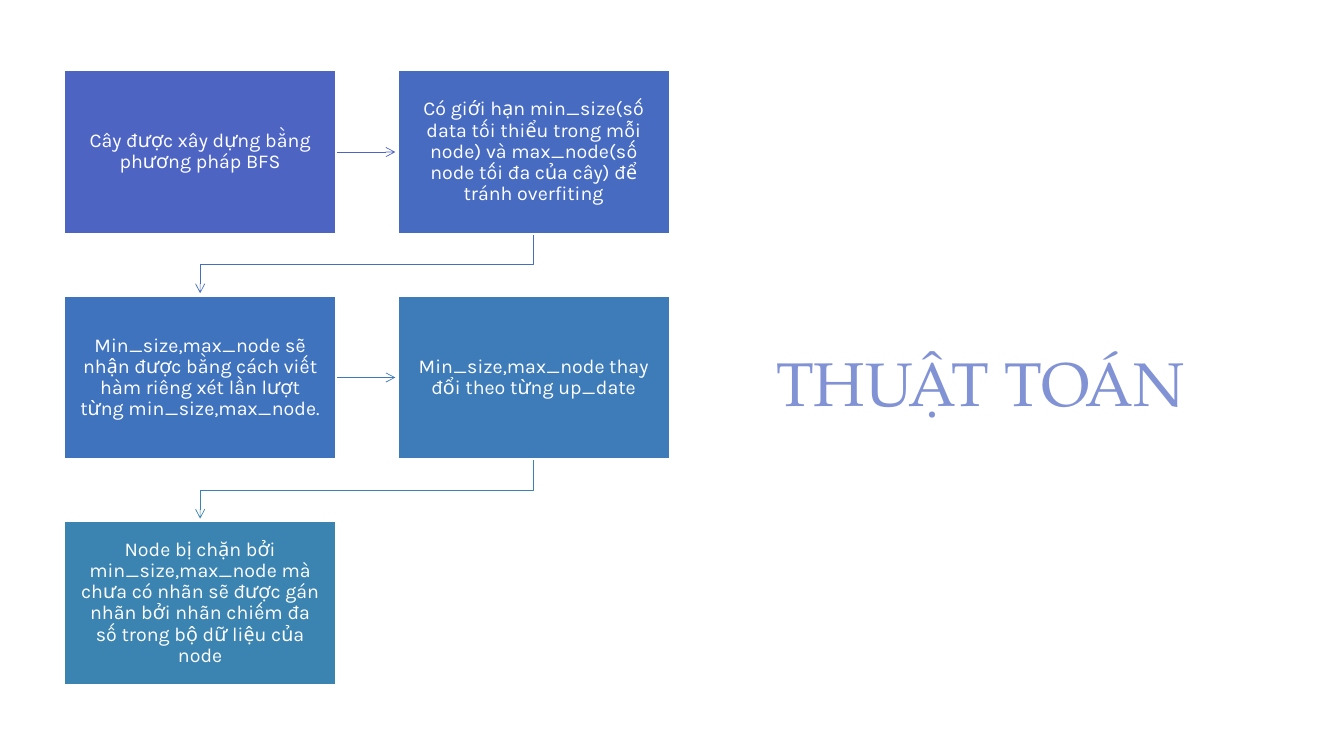
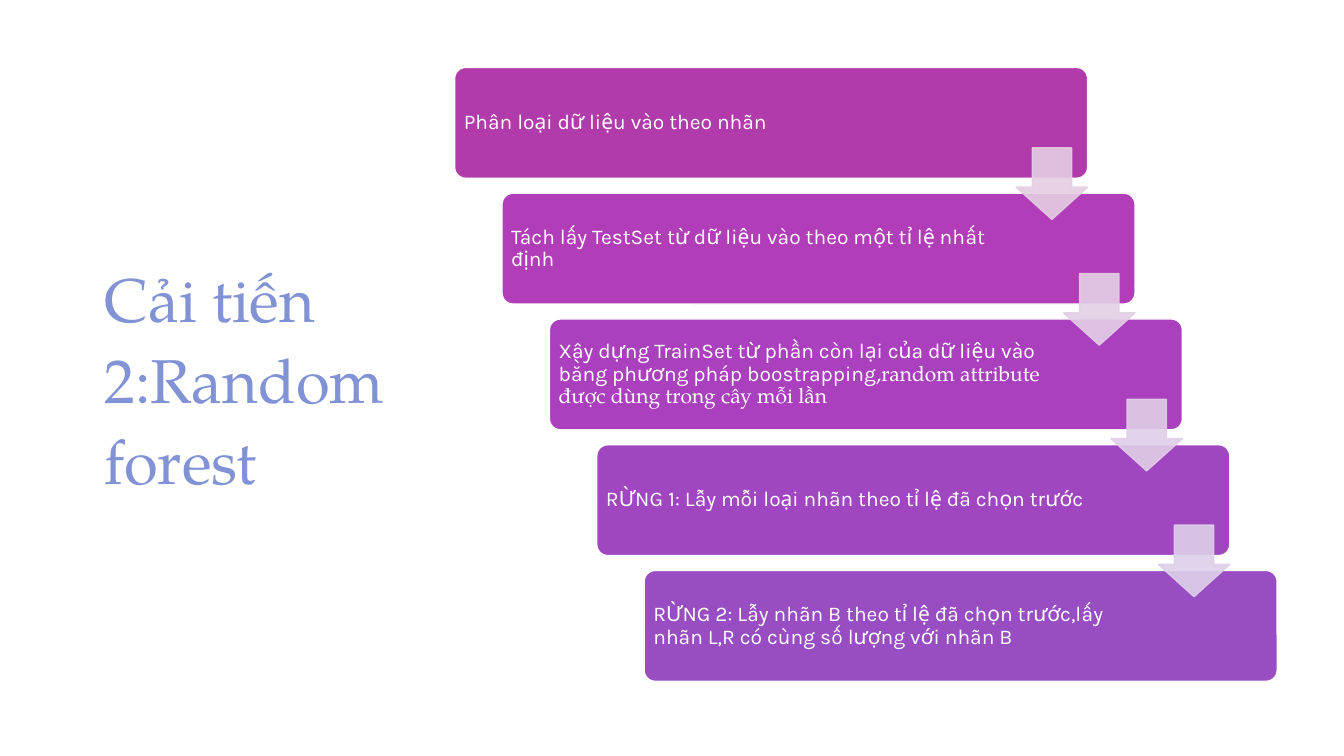
from lxml.etree import SubElement
from pptx import Presentation
from pptx.dml.color import RGBColor
from pptx.enum.shapes import MSO_CONNECTOR, MSO_SHAPE
from pptx.enum.text import MSO_ANCHOR, PP_ALIGN
from pptx.oxml.ns import qn
from pptx.util import Pt

TITLE_FONT, BODY_FONT = "TeX Gyre Pagella", "Karla"
TITLE_COLOR, WHITE = "8293D5", "FFFFFF"

FLOW = [
    ("4D64C3", "Cây được xây dựng bằng phương pháp BFS"),
    ("466BC1", "Có giới hạn min_size(số data tối thiểu trong mỗi node) và "
               "max_node(số node tối đa của cây) để tránh overfiting"),
    ("4073BE", "Min_size,max_node sẽ nhận được bằng cách viết hàm riêng xét "
               "lần lượt từng min_size,max_node."),
    ("3D7CB8", "Min_size,max_node thay đổi theo từng up_date"),
    ("3B84B1", "Node bị chặn bởi min_size,max_node mà chưa có nhãn sẽ được gán "
               "nhãn bởi nhãn chiếm đa số trong bộ dữ liệu của node"),
]
FLOW_LINKS = ["4D64C3", "446EC0", "3E79BA", "3B84B1"]

STAIRS = [
    ("B13BAB", [("Phân loại dữ liệu vào theo nhãn", BODY_FONT)]),
    ("B13DB8", [("Tách lấy TestSet từ dữ liệu vào theo một tỉ lệ nhất định", BODY_FONT)]),
    ("AA40BE", [("Xây dựng TrainSet từ phần còn lại của dữ liệu vào bằng "
                 "phương pháp boostrapping", BODY_FONT),
                (",random attribute được dùng trong cây mỗi lần", TITLE_FONT)]),
    ("A146C1", [("RỪNG 1: Lẫy mỗi loại nhãn theo tỉ lệ đã chọn trước", BODY_FONT)]),
    ("984DC3", [("RỪNG 2: Lẫy nhãn B theo tỉ lệ đã chọn trước,lấy nhãn L,R có "
                 "cùng số lượng với nhãn B", BODY_FONT)]),
]
STAIR_ARROWS = ["E4CEE2", "E3CFE6", "E1CFE8", "DDD0E9"]


def rgb(value):
    """Turn a hex string into a colour."""
    return RGBColor.from_string(value)


def write(shape, runs, size, color, insets, spacing, align=PP_ALIGN.LEFT):
    """Write one vertically centred paragraph of (text, font) runs."""
    frame = shape.text_frame
    frame.word_wrap = True
    frame.vertical_anchor = MSO_ANCHOR.MIDDLE
    (frame.margin_left, frame.margin_top,
     frame.margin_right, frame.margin_bottom) = (Pt(inset) for inset in insets)
    paragraph = frame.paragraphs[0]
    paragraph.alignment = align
    paragraph.line_spacing = spacing
    for text, font in runs:
        run = paragraph.add_run()
        run.text = text
        run.font.name = font
        run.font.size = Pt(size)
        run.font.color.rgb = rgb(color)


def add_title(slide, text, left, top, width, height):
    """Place the slide title in its box."""
    title = slide.shapes.add_textbox(Pt(left), Pt(top), Pt(width), Pt(height))
    write(title, [(text, TITLE_FONT)], 44, TITLE_COLOR, (8.6, 8.6, 8.6, 7.2), 1.1)


def add_block(slide, preset, box, fill, line):
    """Add a flat preset shape with a one-point outline."""
    block = slide.shapes.add_shape(preset, *(Pt(length) for length in box))
    block.shadow.inherit = False
    block.fill.solid()
    block.fill.fore_color.rgb = rgb(fill)
    block.line.color.rgb = rgb(line)
    block.line.width = Pt(1)
    return block


def finish_link(link, color):
    """Give a link its thin line, open arrowhead and no shadow."""
    link.line.color.rgb = rgb(color)
    link.line.width = Pt(0.5)
    properties = link.element.spPr
    SubElement(properties.find(qn("a:ln")), qn("a:tailEnd"), type="arrow")
    SubElement(properties, qn("a:effectLst"))


def add_flow(slide, left, top, width, height):
    """Lay out the two-column flow of boxes and their links."""
    gap = 44.6
    box_width, box_height = (width - gap) / 2, (height - 2 * gap) / 3
    corners = [(left + index % 2 * (box_width + gap),
                top + index // 2 * (box_height + gap)) for index in range(len(FLOW))]
    for (x, y), (color, text) in zip(corners, FLOW):
        step = add_block(slide, MSO_SHAPE.RECTANGLE, (x, y, box_width, box_height), color, WHITE)
        write(step, [(text, BODY_FONT)], 14, WHITE, (9.4, 10, 9.4, 10), 0.9, PP_ALIGN.CENTER)
    for index, color in enumerate(FLOW_LINKS):
        (x, y), (next_x, next_y) = corners[index:index + 2]
        if y == next_y:
            middle = Pt(y + box_height / 2)
            link = slide.shapes.add_connector(
                MSO_CONNECTOR.STRAIGHT, Pt(x + box_width + 1), middle, Pt(next_x - 2), middle)
        else:
            start_x, end_x = Pt(x + box_width / 2), Pt(next_x + box_width / 2)
            bottom = y + box_height
            turn = Pt(bottom + gap / 2)
            outline = slide.shapes.build_freeform(start_x, Pt(bottom + 1))
            outline.add_line_segments(
                [(start_x, turn), (end_x, turn), (end_x, Pt(next_y - 2))], close=False)
            link = outline.convert_to_shape()
            link.fill.background()
        finish_link(link, color)


def add_stairs(slide, left, top, width, height):
    """Lay out the descending steps with an arrow over each joint."""
    step_width, step_height, arrow_size = 452.2, 79.2, 51.1
    shift = (width - step_width) / (len(STAIRS) - 1)
    drop = (height - step_height) / (len(STAIRS) - 1)
    for index, (color, runs) in enumerate(STAIRS):
        step = add_block(slide, MSO_SHAPE.ROUNDED_RECTANGLE,
                         (left + index * shift, top + index * drop, step_width, step_height),
                         color, WHITE)
        step.adjustments[0] = 0.1
        write(step, runs, 15, WHITE, (4.3, 4.3, 90, 4.3), 0.9)
    for index, color in enumerate(STAIR_ARROWS):
        arrow = add_block(slide, MSO_SHAPE.DOWN_ARROW,
                          (left + index * shift + step_width - arrow_size,
                           top + index * drop + 57.4, arrow_size, arrow_size), color, color)
        arrow.adjustments[0], arrow.adjustments[1] = 0.55, 0.45
        for tint in arrow.element.spPr.iter(qn("a:srgbClr")):
            SubElement(tint, qn("a:alpha"), val="90000")


def add_slide(deck):
    """Add a blank slide with a white background."""
    slide = deck.slides.add_slide(deck.slide_layouts[6])
    slide.background.fill.solid()
    slide.background.fill.fore_color.rgb = rgb(WHITE)
    return slide


def main():
    """Build and save both slides."""
    deck = Presentation()
    deck.slide_width, deck.slide_height = Pt(960), Pt(540)

    algorithm = add_slide(deck)
    add_title(algorithm, "THUẬT TOÁN", 545.8, 50.4, 350, 438.5)
    add_flow(algorithm, 46.1, 50.4, 432, 438.5)

    forest = add_slide(deck)
    add_title(forest, "Cải tiến 2:Random forest", 66.2, 48.2, 232.6, 438.5)
    add_stairs(forest, 324.7, 48.2, 587.6, 438.5)

    deck.save("out.pptx")


if __name__ == "__main__":
    main()
